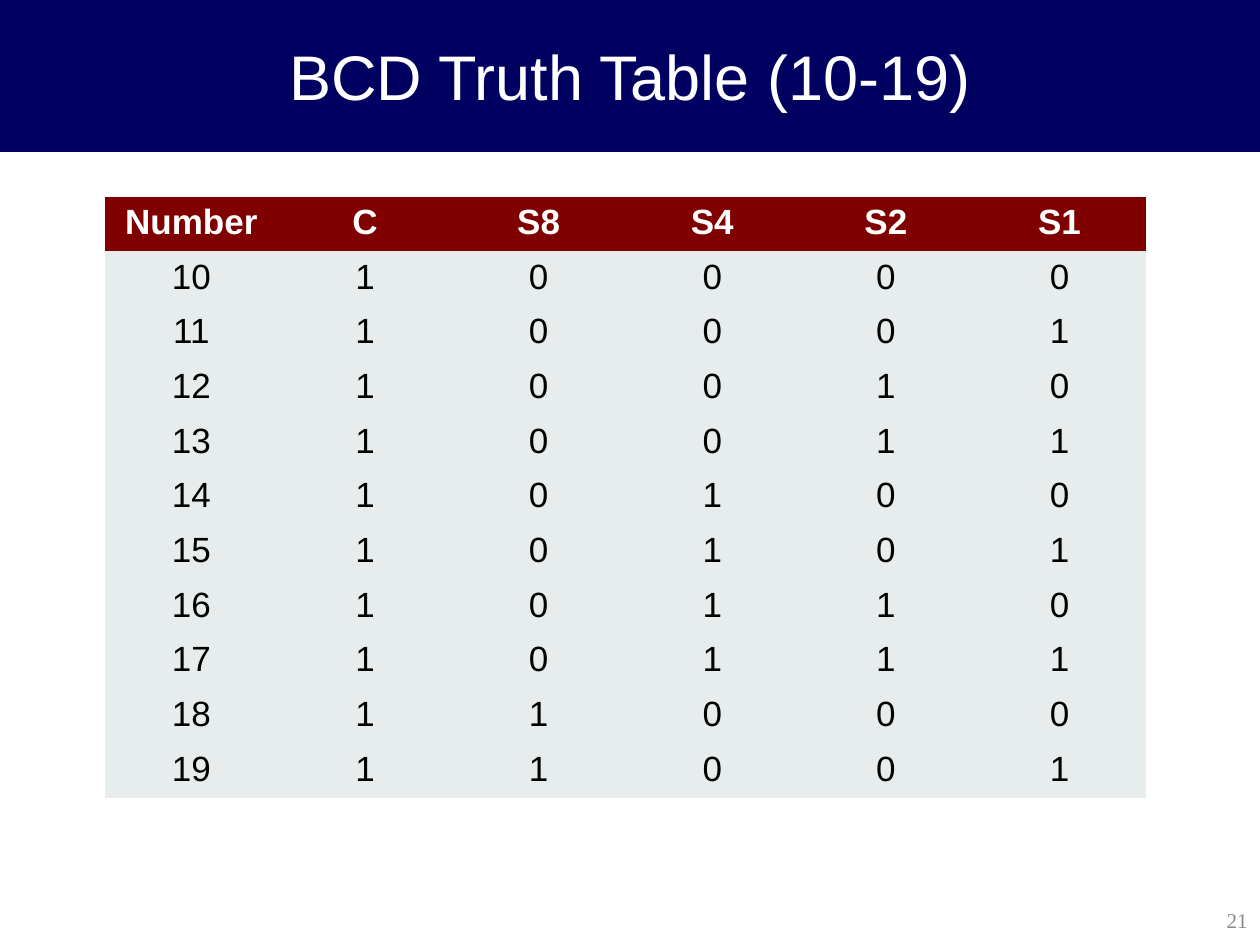
from pptx import Presentation
from pptx.dml.color import RGBColor
from pptx.enum.shapes import MSO_SHAPE
from pptx.enum.text import MSO_ANCHOR, PP_ALIGN
from pptx.util import Inches, Pt

RECTANGLE = MSO_SHAPE.RECTANGLE
MIDDLE = MSO_ANCHOR.MIDDLE
CENTER, RIGHT = PP_ALIGN.CENTER, PP_ALIGN.RIGHT

TITLE = "BCD Truth Table (10-19)"
PAGE = "21"
HEADER = ["Number", "C", "S8", "S4", "S2", "S1"]
NUMBERS = range(10, 20)
COLORS = {
    "band": "000060",
    "header": "800000",
    "body": "E7EDED",
    "white": "FFFFFF",
    "black": "000000",
    "page": "898989",
}


def color(name):
    return RGBColor.from_string(COLORS[name])


def write(tf, text, size=20, font="Arial", ink="black", bold=False, align=CENTER):
    p = tf.paragraphs[0]
    p.alignment = align
    r = p.add_run()
    r.text = text
    r.font.size = Pt(size)
    r.font.name = font
    r.font.bold = bold
    r.font.color.rgb = color(ink)


def text_frame(s, left, top, width, height):
    box = s.shapes.add_textbox(Inches(left), Inches(top), Inches(width), Inches(height))
    tf = box.text_frame
    tf.word_wrap = True
    tf.vertical_anchor = MIDDLE
    return tf


def truth_row(number):
    tens, units = divmod(number, 10)
    return [str(number), str(tens), *f"{units:04b}"]


def main():
    prs = Presentation()
    prs.slide_width, prs.slide_height = Inches(10), Inches(7.5)
    s = prs.slides.add_slide(prs.slide_layouts[6])

    band = s.shapes.add_shape(RECTANGLE, 0, 0, Inches(10), Inches(1.2))
    band.shadow.inherit = False
    band.fill.solid()
    band.fill.fore_color.rgb = color("band")
    band.line.color.rgb = color("band")
    band.line.width = Pt(0.75)

    write(text_frame(s, 0, 0, 10, 1.2), TITLE, size=36, ink="white")
    write(text_frame(s, 7.88, 7.1, 2.12, 0.4), PAGE, size=12,
          font="Times New Roman", ink="page", align=RIGHT)

    rows = [HEADER] + [truth_row(n) for n in NUMBERS]
    table = s.shapes.add_table(len(rows), len(HEADER), Inches(0.83), Inches(1.56),
                               Inches(8.27), Inches(4.77)).table
    table.horz_banding = False
    for i, row in enumerate(rows):
        is_header = i == 0
        for j, text in enumerate(row):
            cell = table.cell(i, j)
            cell.fill.solid()
            cell.fill.fore_color.rgb = color("header" if is_header else "body")
            write(cell.text_frame, text, ink="white" if is_header else "black", bold=is_header)
    no_style = "{2D5ABB26-0587-4C30-8999-92F81FD0307C}"
    table._tbl.tblPr.find("{*}tableStyleId").text = no_style

    prs.save("out.pptx")


if __name__ == "__main__":
    main()
